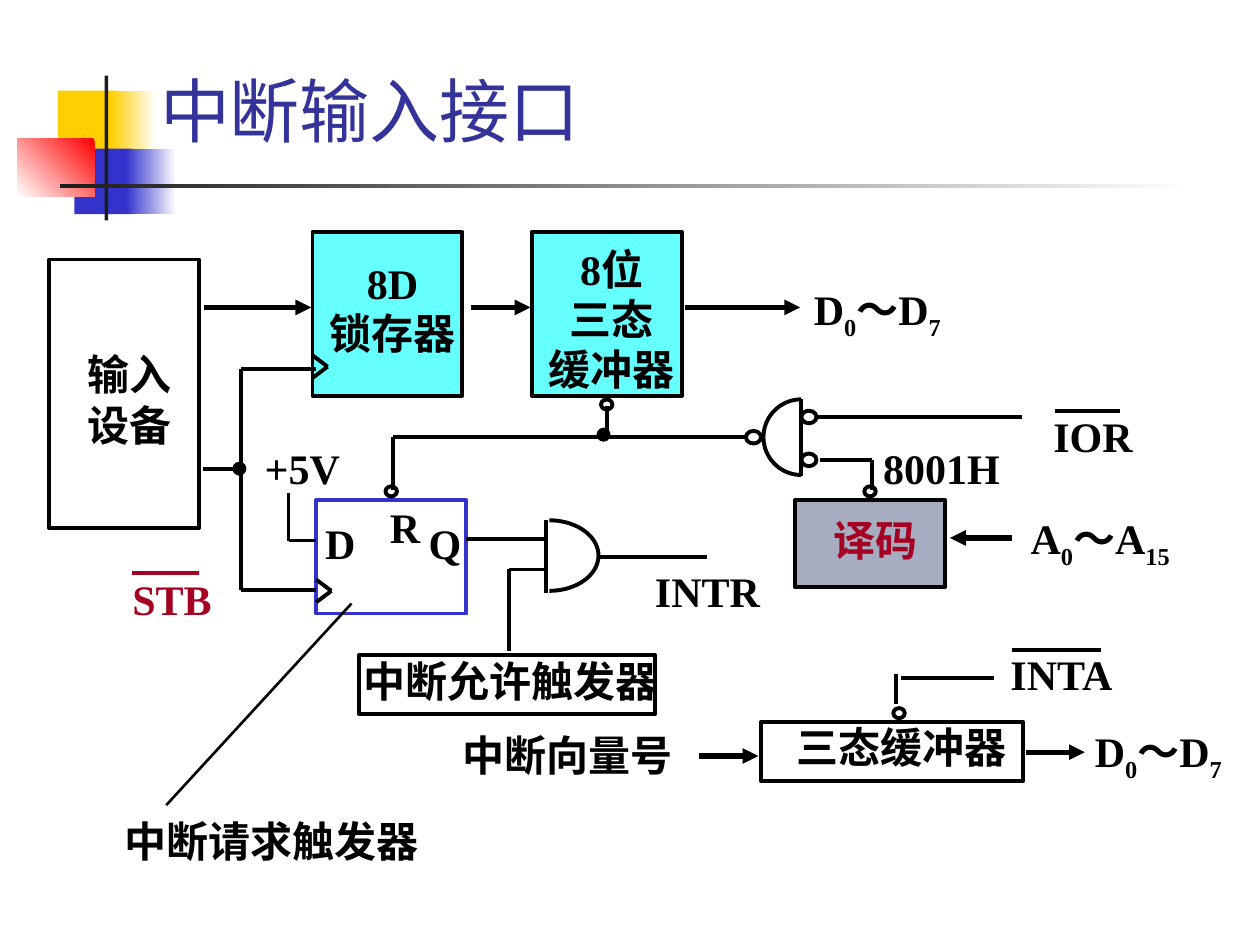
import math
from typing import NamedTuple, Optional

import pptx
import pptx.dml.color
import pptx.enum.shapes
import pptx.enum.text
import pptx.util
from lxml import etree
from pptx.oxml.ns import qn
from pptx.util import Inches

BLACK = "000000"
CRIMSON = "A50021"
BLUE = "3333CC"
CYAN = "66FFFF"
SHAPE = pptx.enum.shapes.MSO_SHAPE
ALIGN = pptx.enum.text.PP_ALIGN


class Band(NamedTuple):
    left: float
    top: float
    width: float
    height: float
    start: str
    end: Optional[str] = None
    angle: int = 180


class Block(NamedTuple):
    left: float
    top: float
    width: float
    height: float
    fill: Optional[str] = None
    outline: str = BLACK
    preset: int = SHAPE.RECTANGLE


class Label(NamedTuple):
    left: float
    top: float
    width: float
    height: float
    lines: tuple
    align: int = ALIGN.CENTER
    color: str = BLACK
    margin: float = 0.01
    wrap: bool = True


class Wire(NamedTuple):
    points: tuple
    width: float = 2.25
    color: str = BLACK
    arrow: bool = False


class GateArc(NamedTuple):
    x: float
    y: float
    reach: float
    half_height: float


def rgb(value: str):
    return pptx.dml.color.RGBColor.from_string(value)


def draw_band(slide, band: Band) -> None:
    shape = slide.shapes.add_shape(SHAPE.RECTANGLE, *map(Inches, band[:4]))
    shape.shadow.inherit = False
    shape.line.fill.background()
    if band.end is None:
        shape.fill.solid()
        shape.fill.fore_color.rgb = rgb(band.start)
        return
    shape.fill.gradient()
    shape.fill.gradient_angle = 360 - band.angle
    for stop, position, color in zip(shape.fill.gradient_stops, (0, 1), (band.start, band.end)):
        stop.position = position
        stop.color.rgb = rgb(color)


def style_outline(shape, fill: Optional[str], outline: str) -> None:
    shape.shadow.inherit = False
    if fill:
        shape.fill.solid()
        shape.fill.fore_color.rgb = rgb(fill)
    else:
        shape.fill.background()
    shape.line.color.rgb = rgb(outline)
    shape.line.width = pptx.util.Pt(2.25)


def draw_block(slide, block: Block) -> None:
    shape = slide.shapes.add_shape(block.preset, *map(Inches, block[:4]))
    style_outline(shape, block.fill, block.outline)


def draw_gate_arc(slide, arc: GateArc) -> None:
    angles = [math.radians(degrees) for degrees in range(-90, 91, 5)]
    outline = [(Inches(arc.x + arc.reach * math.cos(a)),
                Inches(arc.y + arc.half_height * math.sin(a))) for a in angles]
    builder = slide.shapes.build_freeform(*outline[0])
    builder.add_line_segments(outline[1:], close=False)
    style_outline(builder.convert_to_shape(), None, BLACK)


def draw_wire(slide, wire: Wire) -> None:
    for start, end in zip(wire.points, wire.points[1:]):
        segment = slide.shapes.add_connector(
            pptx.enum.shapes.MSO_CONNECTOR.STRAIGHT, *map(Inches, start + end))
        segment.line.color.rgb = rgb(wire.color)
        segment.line.width = pptx.util.Pt(wire.width)
        properties = segment._element.spPr
        if wire.arrow:
            etree.SubElement(properties.find(qn("a:ln")), qn("a:tailEnd"), type="triangle")
        etree.SubElement(properties, qn("a:effectLst"))


def draw_label(slide, label: Label) -> None:
    frame = slide.shapes.add_textbox(*map(Inches, label[:4])).text_frame
    frame.word_wrap = label.wrap
    frame.margin_left = frame.margin_right = Inches(label.margin)
    frame.margin_top = frame.margin_bottom = Inches(min(label.margin, 0.05))
    for index, line in enumerate(label.lines):
        paragraph = frame.add_paragraph() if index else frame.paragraphs[0]
        paragraph.alignment = label.align
        paragraph.font.name = "Times New Roman"
        paragraph.font.size = pptx.util.Pt(24)
        paragraph.font.bold = True
        paragraph.font.color.rgb = rgb(label.color)
        for position, part in enumerate(line.split("_")):
            run = paragraph.add_run()
            run.text = part
            if position % 2:
                run._r.get_or_add_rPr().set("baseline", "-25000")


def bubble(left: float, top: float, width: float = 0.09, height: float = 0.08) -> Block:
    return Block(left, top, width, height, preset=SHAPE.OVAL)


def junction(left: float, top: float) -> Block:
    return Block(left, top, 0.08, 0.08, BLACK, preset=SHAPE.OVAL)


def clock_mark(x: float, y: float) -> Wire:
    return Wire(((x, y - 0.09), (x + 0.12, y), (x, y + 0.09)))


def arrow(x1: float, x2: float, y: float) -> Wire:
    return Wire(((x1, y), (x2, y)), 3, arrow=True)


def overline(x1: float, x2: float, y: float, color: str = BLACK) -> Wire:
    return Wire(((x1, y), (x2, y)), color=color)


BANDS = [
    Band(0.46, 0.72, 0.48, 0.52, "FFCF01"),
    Band(0.88, 0.72, 0.36, 0.52, "FFFFFF", "FFCF01"),
    Band(0.59, 1.18, 0.46, 0.52, BLUE),
    Band(1, 1.18, 0.4, 0.52, "FFFFFF", BLUE),
    Band(0.14, 1.1, 0.61, 0.46, "FF0000", "FFFFFF", 135),
    Band(0.83, 0.6, 0.03, 1.15, "1C1C1C"),
    Band(0.48, 1.46, 9, 0.03, "FFFFFF", "1C1C1C"),
]
BLOCKS = [
    Block(0.39, 2.06, 1.19, 2.13),
    Block(2.48, 1.84, 1.19, 1.3, CYAN), Block(4.22, 1.84, 1.19, 1.3, CYAN),
    Block(2.51, 3.97, 1.19, 0.9, outline=BLUE), Block(6.31, 3.97, 1.19, 0.69, "A6ADC0"),
    Block(2.85, 5.2, 2.35, 0.47), Block(6.04, 5.73, 2.08, 0.47),
    bubble(7.09, 5.62), bubble(4.77, 3.17), bubble(6.86, 3.86), bubble(3.06, 3.86),
    bubble(5.92, 3.42, 0.12, 0.1), bubble(6.36, 3.26, 0.12, 0.1), bubble(6.36, 3.6, 0.12, 0.1),
    junction(4.75, 3.41), junction(1.86, 3.68),
]
GATE_ARCS = [GateArc(4.36, 4.41, 0.39, 0.28), GateArc(6.36, 3.47, -0.3, 0.3)]
WIRES = [
    Wire(((1.61, 3.72), (1.91, 3.72))),
    Wire(((2.51, 2.93), (1.91, 2.93), (1.91, 4.68), (2.51, 4.68))),
    Wire(((2.29, 3.91), (2.29, 4.29), (2.51, 4.29))),
    Wire(((3.12, 3.89), (3.12, 3.47), (5.94, 3.47))),
    Wire(((4.82, 3.47), (4.82, 3.22))),
    Wire(((3.7, 4.28), (4.34, 4.28))),
    Wire(((4.04, 5.17), (4.04, 4.52), (4.33, 4.52))),
    Wire(((4.33, 4.13), (4.33, 4.71))), Wire(((4.74, 4.42), (5.61, 4.42))),
    Wire(((6.36, 3.17), (6.36, 3.78))), Wire(((6.48, 3.31), (8.11, 3.31))),
    Wire(((6.51, 3.65), (6.92, 3.65), (6.92, 3.89))),
    Wire(((7.11, 5.59), (7.11, 5.35))), Wire(((7.15, 5.38), (7.89, 5.38))),
    Wire(((2.79, 4.79), (1.32, 6.39)), 1.5),
    clock_mark(2.48, 2.91), clock_mark(2.51, 4.69),
    arrow(1.62, 2.47, 2.44), arrow(3.74, 4.21, 2.44), arrow(5.44, 6.35, 2.44),
    arrow(8.03, 7.54, 4.27), arrow(8.14, 8.61, 5.97), arrow(5.55, 6.02, 6),
    overline(8.37, 8.89, 3.26), overline(8.03, 8.74, 5.16), overline(1.05, 1.58, 4.55, CRIMSON),
]
LABELS = [
    Label(0.31, 2.76, 1.43, 1.08, ("输入", "设备")),
    Label(2.4, 2.03, 1.43, 0.91, ("8D", "锁存器")),
    Label(4.14, 1.92, 1.43, 1.3, ("8位", "三态", "缓冲器")),
    Label(6.45, 2.24, 1.27, 0.55, ("D_0_～D_7",), ALIGN.LEFT),
    Label(8.68, 5.75, 1.27, 0.59, ("D_0_～D_7",), ALIGN.LEFT),
    Label(8.17, 4.06, 1.46, 0.66, ("A_0_～A_15",), ALIGN.LEFT),
    Label(1.96, 3.5, 0.88, 0.48, ("+5V",)),
    Label(2.57, 4.1, 0.58, 0.4, ("D",), ALIGN.LEFT),
    Label(3.01, 3.97, 0.41, 0.4, ("R",)),
    Label(3.09, 4.1, 0.58, 0.4, ("Q",), ALIGN.RIGHT),
    Label(5.1, 4.48, 1.03, 0.4, ("INTR",)),
    Label(7, 3.5, 1.27, 0.4, ("8001H",), ALIGN.LEFT),
    Label(6.23, 4.07, 1.43, 0.48, ("译码",), color=CRIMSON),
    Label(2.79, 5.19, 2.52, 0.47, ("中断允许触发器",)),
    Label(5.9, 5.72, 2.51, 0.47, ("三态缓冲器",)),
    Label(3.49, 5.78, 2.03, 0.53, ("中断向量号",)),
    Label(0.89, 6.42, 2.53, 0.5, ("中断请求触发器",), ALIGN.LEFT, margin=0.1, wrap=False),
    Label(8.35, 3.25, 1.04, 0.48, ("IOR",), ALIGN.LEFT),
    Label(8.01, 5.14, 1.04, 0.48, ("INTA",), ALIGN.LEFT),
    Label(1.04, 4.54, 1.04, 0.48, ("STB",), ALIGN.LEFT, CRIMSON),
]


def write_title(slide) -> None:
    title = slide.shapes.title
    title.left, title.top, title.width, title.height = map(Inches, (1.17, 0.33, 8.52, 0.92))
    frame = title.text_frame
    frame.text = "中断输入接口"
    frame.auto_size = pptx.enum.text.MSO_AUTO_SIZE.NONE
    frame.vertical_anchor = pptx.enum.text.MSO_ANCHOR.BOTTOM
    heading = frame.paragraphs[0]
    heading.alignment = ALIGN.LEFT
    heading.font.name = "Roboto"
    heading.font.size = pptx.util.Pt(40)
    heading.font.color.rgb = rgb("333399")


def main() -> None:
    deck = pptx.Presentation()
    deck.slide_width, deck.slide_height = Inches(10), Inches(7.5)
    slide = deck.slides.add_slide(deck.slide_layouts[5])
    write_title(slide)
    for draw, parts in ((draw_band, BANDS), (draw_block, BLOCKS), (draw_gate_arc, GATE_ARCS),
                        (draw_wire, WIRES), (draw_label, LABELS)):
        for part in parts:
            draw(slide, part)
    deck.save("out.pptx")


if __name__ == "__main__":
    main()
